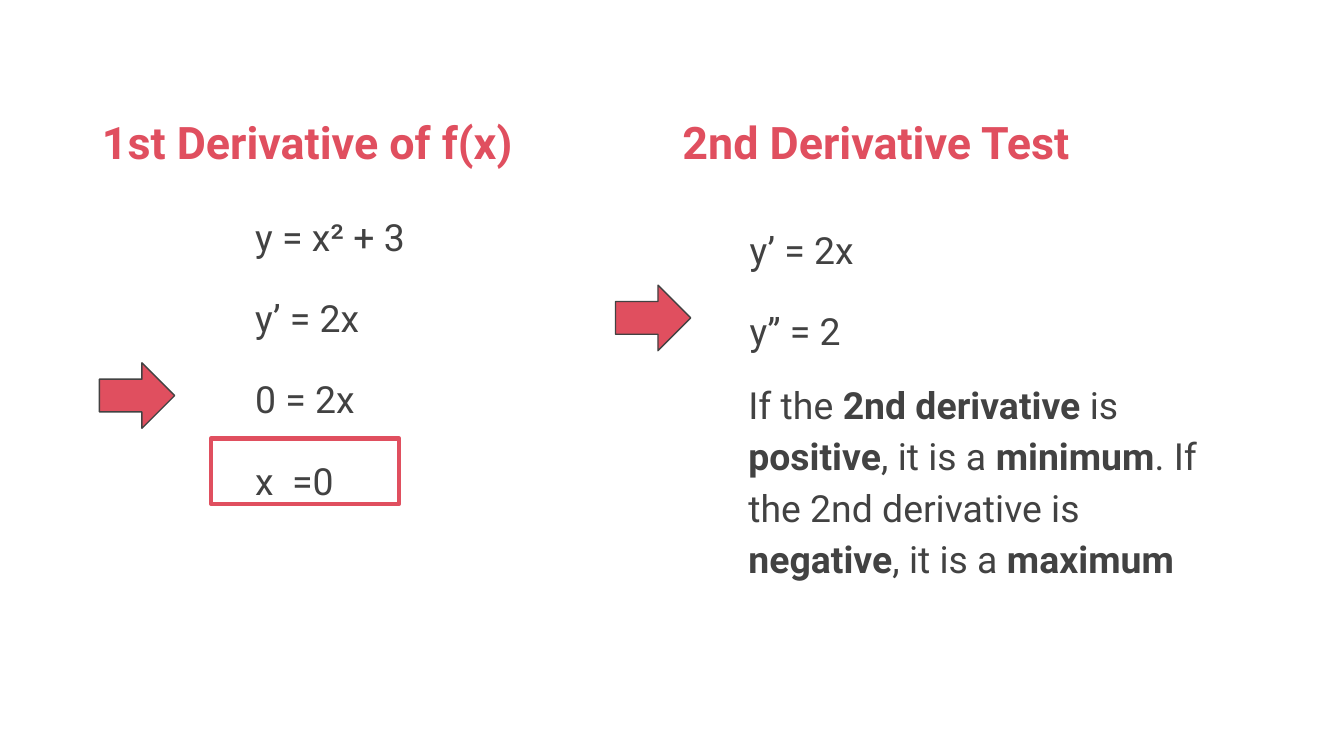
from pptx import Presentation
from pptx.dml.color import RGBColor as RGB
from pptx.enum.shapes import MSO_SHAPE as SHAPE
from pptx.util import Inches, Pt

COLORS = {"accent": "E04F5F", "ink": "424242"}

prs = Presentation()
prs.slide_width = Inches(10)
prs.slide_height = prs.slide_width * 9 // 16
COL, ROW = prs.slide_width / 100, prs.slide_height / 75  # 100 x 75 grid
s = prs.slides.add_slide(prs.slide_layouts[6])


def add_text(box, lines, size, color, indent=0, spacing=1.0, after=0):
    """Add a text box at grid cells box; parts between ** marks are bold."""
    x, y, w, h = box
    sp = s.shapes.add_textbox(int(x * COL), int(y * ROW), int(w * COL), int(h * ROW))
    tf = sp.text_frame
    tf.word_wrap = True
    tf.margin_left = tf.margin_right = tf.margin_top = tf.margin_bottom = Inches(0.1)
    for i, line in enumerate(lines):
        p = tf.paragraphs[0] if i == 0 else tf.add_paragraph()
        pPr = p._p.get_or_add_pPr()
        pPr.set("marL", str(Inches(indent)))
        pPr.set("indent", "0")
        p.line_spacing = spacing
        p.space_before = Pt(16 if i else 0)
        p.space_after = Pt(after if i == len(lines) - 1 else 0)
        for j, part in enumerate(line.split("**")):
            if part:
                r = p.add_run()
                r.text = part
                r.font.name, r.font.size = "Roboto", Pt(size)
                r.font.bold = j % 2 == 1
                r.font.color.rgb = RGB.from_string(COLORS[color])


def add_outlined(kind, box, line, width, fill=None):
    x, y, w, h = box
    sp = s.shapes.add_shape(kind, int(x * COL), int(y * ROW), int(w * COL), int(h * ROW))
    sp.shadow.inherit = False
    if fill:
        sp.fill.solid()
        sp.fill.fore_color.rgb = RGB.from_string(COLORS[fill])
    else:
        sp.fill.background()
    sp.line.color.rgb = RGB.from_string(COLORS[line])
    sp.line.width = Pt(width)


# Headings
for x, heading in ((6.6, "1st Derivative of f(x)"), (49.8, "2nd Derivative Test")):
    add_text((x, 10, 36.6, 9.2), [f"**{heading}**"], 24, "accent")

# Worked steps and the conclusion
conclusion = ("If the **2nd derivative** is **positive**, it is a **minimum**. "
              "If the 2nd derivative is **negative**, it is a **maximum**")
for box, lines, after in (
    ((13, 19.2, 32.8, 30.7), ["y = x² + 3", "yʼ = 2x", "0 = 2x", "x  =0"], 16),
    ((49.8, 20.5, 32.8, 15.5), ["yʼ = 2x", "yʼʼ = 2"], 0),
    ((49.7, 35.9, 41.4, 27.8), [conclusion], 16),
):
    add_text(box, lines, 20, "ink", indent=0.5, spacing=1.15, after=after)

# Frame around the solution, arrows beside the key steps
add_outlined(SHAPE.RECTANGLE, (15.7, 43.5, 14, 6.5), "accent", 2.25)
for x, y in ((7.4, 36), (45.8, 28.3)):
    add_outlined(SHAPE.RIGHT_ARROW, (x, y, 5.6, 6.5), "ink", 0.75, "accent")

prs.save("out.pptx")
